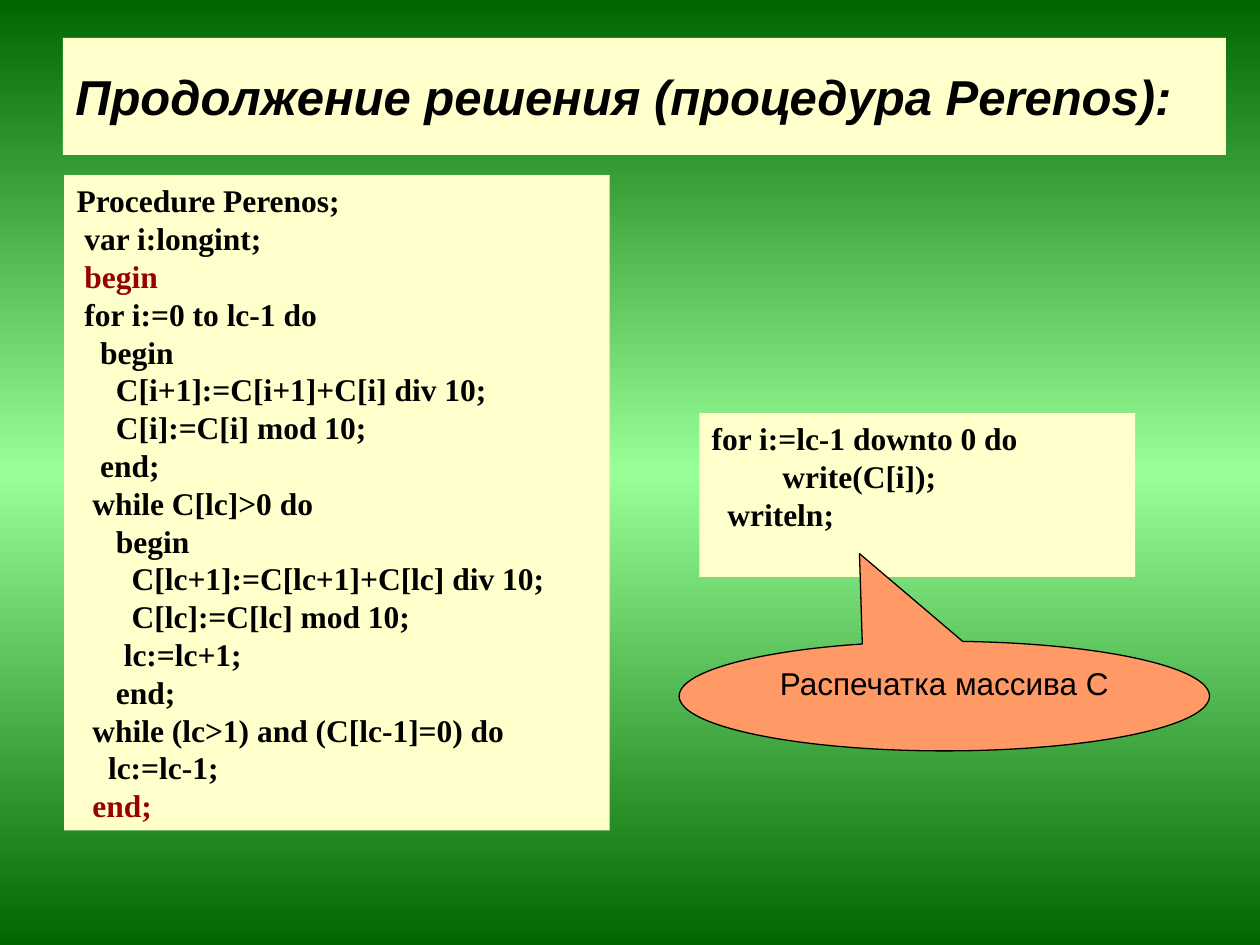
from copy import deepcopy

from pptx import Presentation
from pptx.dml.color import RGBColor
from pptx.enum.shapes import MSO_SHAPE
from pptx.enum.text import MSO_ANCHOR, PP_ALIGN
from pptx.oxml.ns import qn
from pptx.util import Inches, Pt

BLACK = "000000"
DARK_RED = "990000"
CREAM = "FFFFCC"
ORANGE = "FF9966"
DARK_GREEN = "006600"
LIGHT_GREEN = "99FF99"

PERENOS_CODE = """Procedure Perenos;
 var i:longint;
 begin
 for i:=0 to lc-1 do
   begin
     C[i+1]:=C[i+1]+C[i] div 10;
     C[i]:=C[i] mod 10;
   end;
  while C[lc]>0 do
     begin
       C[lc+1]:=C[lc+1]+C[lc] div 10;
       C[lc]:=C[lc] mod 10;
      lc:=lc+1;
     end;
  while (lc>1) and (C[lc-1]=0) do
    lc:=lc-1;
  end;"""

PRINT_CODE = """for i:=lc-1 downto 0 do
         write(С[i]);
  writeln;"""


def color(value):
    return RGBColor.from_string(value)


def paint_background(page):
    fill = page.background.fill
    fill.gradient()
    fill.gradient_angle = 90
    stop_list = next(page.element.iter(qn("a:gsLst")))
    stop_list.append(deepcopy(stop_list[0]))
    stops = ((0, DARK_GREEN), (0.5, LIGHT_GREEN), (1, DARK_GREEN))
    for stop, (position, value) in zip(fill.gradient_stops, stops):
        stop.position = position
        stop.color.rgb = color(value)


def add_panel(page, kind, place, fill, anchor=MSO_ANCHOR.TOP):
    panel = page.shapes.add_shape(kind, *(Inches(length) for length in place))
    panel.shadow.inherit = False
    panel.fill.solid()
    panel.fill.fore_color.rgb = color(fill)
    panel.line.fill.background()
    panel.text_frame.word_wrap = True
    panel.text_frame.vertical_anchor = anchor
    return panel


def write_line(paragraph, text, font_name, size, value=BLACK,
               bold=False, italic=False, align=PP_ALIGN.LEFT):
    paragraph.text = text
    paragraph.alignment = align
    font = paragraph.font
    font.name = font_name
    font.size = Pt(size)
    font.bold = bold
    font.italic = italic
    font.color.rgb = color(value)


def add_title(page, text):
    panel = add_panel(page, MSO_SHAPE.RECTANGLE, (0.5, 0.3, 9.23, 0.93),
                      CREAM, MSO_ANCHOR.MIDDLE)
    write_line(panel.text_frame.paragraphs[0], text, "Arial", 28,
               bold=True, italic=True)


def add_code(page, place, code, red_lines=()):
    frame = add_panel(page, MSO_SHAPE.RECTANGLE, place, CREAM).text_frame
    for index, line in enumerate(code.split("\n")):
        paragraph = frame.add_paragraph() if index else frame.paragraphs[0]
        value = DARK_RED if line in red_lines else BLACK
        write_line(paragraph, line, "Times New Roman", 18, value, bold=True)


def add_callout(page, text):
    callout = add_panel(page, MSO_SHAPE.OVAL_CALLOUT,
                        (5.39, 5.09, 4.21, 0.87), ORANGE)
    callout.adjustments[0] = -0.16
    callout.adjustments[1] = -1.3
    callout.line.color.rgb = color(BLACK)
    callout.line.width = Pt(0.75)
    write_line(callout.text_frame.paragraphs[0], text, "Arial", 18,
               align=PP_ALIGN.CENTER)


def main():
    deck = Presentation()
    deck.slide_width = Inches(10)
    deck.slide_height = Inches(7.5)
    page = deck.slides.add_slide(deck.slide_layouts[6])
    paint_background(page)
    add_code(page, (5.55, 3.28, 3.46, 1.3), PRINT_CODE)
    add_callout(page, "Распечатка массива С")
    add_code(page, (0.51, 1.39, 4.33, 5.2), PERENOS_CODE,
             red_lines=(" begin", "  end;"))
    add_title(page, "Продолжение решения (процедура Perenos):")
    deck.save("out.pptx")


if __name__ == "__main__":
    main()
